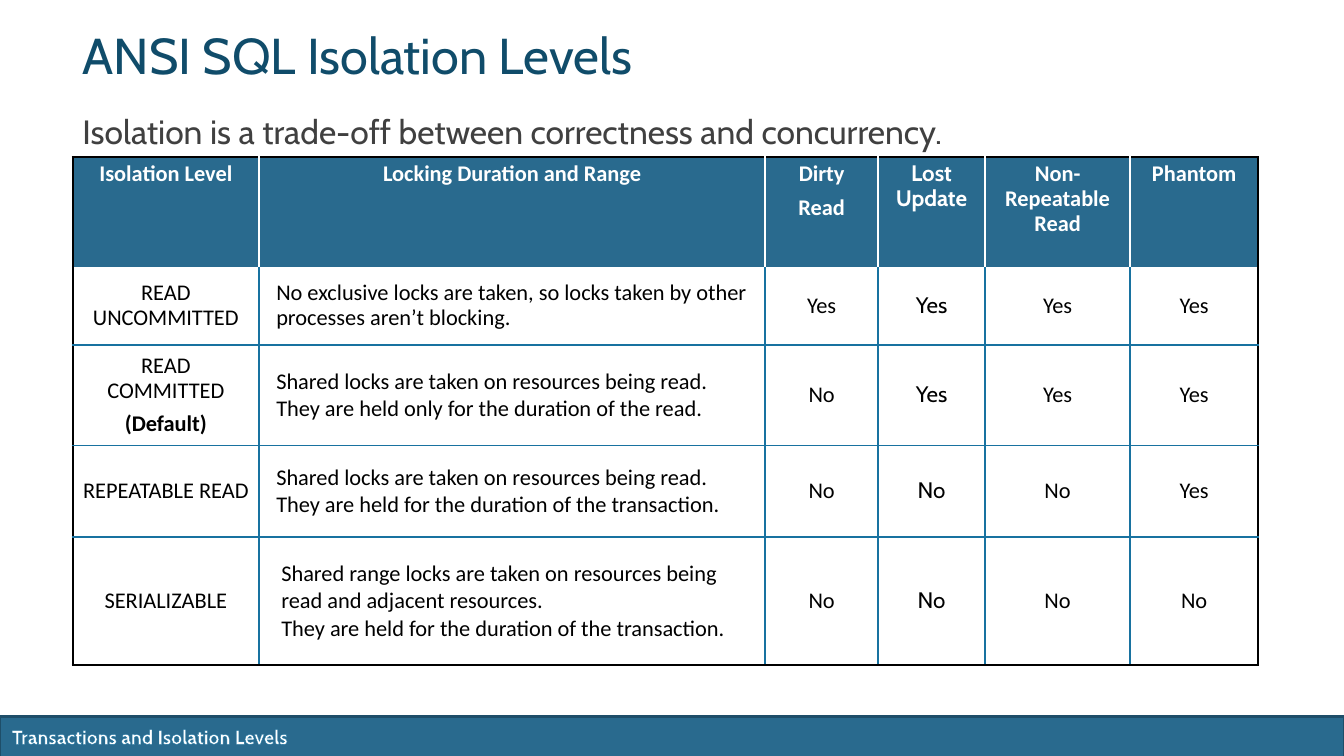
"""Build the slide on ANSI SQL isolation levels."""
from lxml.etree import SubElement
from pptx import Presentation
from pptx.dml.color import RGBColor
from pptx.enum.shapes import MSO_SHAPE as Shape
from pptx.enum.text import MSO_ANCHOR as Anchor, PP_ALIGN as Align
from pptx.oxml.ns import qn
from pptx.util import Inches, Pt

COLORS = {"band": "296A8E", "band_edge": "1E4E69", "grid": "1872A0", "title": "104C6A",
          "subtitle": "404040", "white": "FFFFFF", "black": "000000"}
TITLE = "ANSI SQL Isolation Levels"
SUBTITLE = "Isolation is a trade-off between correctness and concurrency."
FOOTER = "Transactions and Isolation Levels"
HEADINGS = [["Isolation Level"], ["Locking Duration and Range"], ["Dirty", "Read"],
            ["Lost Update"], ["Non-Repeatable Read"], ["Phantom"]]
LEVELS = [
    (["READ UNCOMMITTED"],
     ["No exclusive locks are taken, so locks taken by other processes aren’t blocking."],
     ["Yes", "Yes", "Yes", "Yes"]),
    (["READ COMMITTED", "(Default)"],
     ["Shared locks are taken on resources being read.",
      "They are held only for the duration of the read."],
     ["No", "Yes", "Yes", "Yes"]),
    (["REPEATABLE READ"],
     ["Shared locks are taken on resources being read.",
      "They are held for the duration of the transaction."],
     ["No", "No", "No", "Yes"]),
    (["SERIALIZABLE"],
     ["Shared range locks are taken on resources being read and adjacent resources.",
      "They are held for the duration of the transaction."],
     ["No", "No", "No", "No"]),
]
COLUMN_WIDTHS = [1.85, 5.02, 1.12, 1.06, 1.44, 1.27]
ROW_HEIGHTS = [1.09, 0.77, 1, 0.91, 1.27]
LOCKING, LOST_UPDATE = 1, 3
LEFT, TABLE_TOP = 0.72, 1.56


def rgb(color):
    return RGBColor.from_string(COLORS[color])


def add_run(paragraph, text, size, font, color, bold=False):
    run = paragraph.add_run()
    run.text = text
    run.font.size, run.font.name, run.font.bold = Pt(size), font, bold
    run.font.color.rgb = rgb(color)
    return run


def add_line_of_text(slide, place, text, size, color, anchor=Anchor.TOP, bold=False):
    frame = slide.shapes.add_textbox(*map(Inches, place)).text_frame
    frame.word_wrap, frame.vertical_anchor = True, anchor
    paragraph = frame.paragraphs[0]
    return paragraph, add_run(paragraph, text, size, "Cabin", color, bold)


def add_outline(parent, tag, width, color):
    line = SubElement(parent, qn(tag), w=str(Pt(width)))
    if color:
        fill = SubElement(line, qn("a:solidFill"))
        SubElement(fill, qn("a:srgbClr"), val=COLORS[color])
    else:
        SubElement(line, qn("a:noFill"))
    return line


def edge_colors(row, column):
    inner = "white" if row == 0 else "grid"
    last_row, last_column = len(ROW_HEIGHTS) - 1, len(COLUMN_WIDTHS) - 1
    return {
        "a:lnL": "black" if column == 0 else inner,
        "a:lnR": "black" if column == last_column else inner,
        "a:lnT": {0: "black", 1: None}.get(row, "grid"),
        "a:lnB": {0: None, last_row: "black"}.get(row, "grid"),
    }


def fill_cell(cell, row, column, lines):
    header, locking = row == 0, row > 0 and column == LOCKING
    for tag, color in edge_colors(row, column).items():
        add_outline(cell._tc.get_or_add_tcPr(), tag, 1.5, color)
    cell.fill.solid()
    cell.fill.fore_color.rgb = rgb("band" if header else "white")
    cell.vertical_anchor = Anchor.TOP if header else Anchor.MIDDLE
    frame = cell.text_frame
    for index, text in enumerate(lines):
        paragraph = frame.add_paragraph() if index else frame.paragraphs[0]
        paragraph.alignment = Align.LEFT if locking else Align.CENTER
        if locking:
            indent = 0.12 if row == len(LEVELS) else 0.07
            paragraph._p.get_or_add_pPr().set("marL", str(Inches(indent)))
        if not locking or len(lines) == 1:
            paragraph.line_spacing = 0.9
        if index and not locking:
            paragraph.space_before = Pt(6.4)
        add_run(paragraph, text, 16, "Cabin" if column == LOST_UPDATE else "Calibri",
                "white" if header else "black", header or text == "(Default)")


def add_levels_table(slide):
    rows = [HEADINGS] + [[level, locking, *([answer] for answer in answers)]
                         for level, locking, answers in LEVELS]
    table = slide.shapes.add_table(
        len(rows), len(HEADINGS), Inches(LEFT), Inches(TABLE_TOP),
        Inches(sum(COLUMN_WIDTHS)), Inches(sum(ROW_HEIGHTS))).table
    table.horz_banding = False
    for column, width in zip(table.columns, COLUMN_WIDTHS):
        column.width = Inches(width)
    for row, height in zip(table.rows, ROW_HEIGHTS):
        row.height = Inches(height)
    for row, cells in enumerate(rows):
        for column, lines in enumerate(cells):
            fill_cell(table.cell(row, column), row, column, lines)


def add_footer(slide):
    band = slide.shapes.add_shape(Shape.RECTANGLE, *map(Inches, (0, 7.11, 13.33, 0.4)))
    band.shadow.inherit = False
    band.fill.solid()
    band.fill.fore_color.rgb = rgb("band")
    band.line.color.rgb = rgb("band_edge")
    band.line.width = Pt(2)
    _, label = add_line_of_text(slide, (0.02, 7.14, 6.06, 0.34), FOOTER, 14, "white", bold=True)
    properties = label._r.get_or_add_rPr()
    properties.insert(0, add_outline(properties, "a:ln", 0.8, "grid"))


def main():
    deck = Presentation()
    deck.slide_width, deck.slide_height = Inches(13.33), Inches(7.5)
    slide = deck.slides.add_slide(deck.slide_layouts[6])
    add_footer(slide)
    heading, _ = add_line_of_text(slide, (LEFT, 0.35, 11.9, 0.5), TITLE, 36, "title",
                                  Anchor.MIDDLE)
    heading.line_spacing = Pt(35)
    add_line_of_text(slide, (LEFT, 1.05, 11.9, 0.5), SUBTITLE, 24, "subtitle")
    add_levels_table(slide)
    deck.save("out.pptx")


if __name__ == "__main__":
    main()
